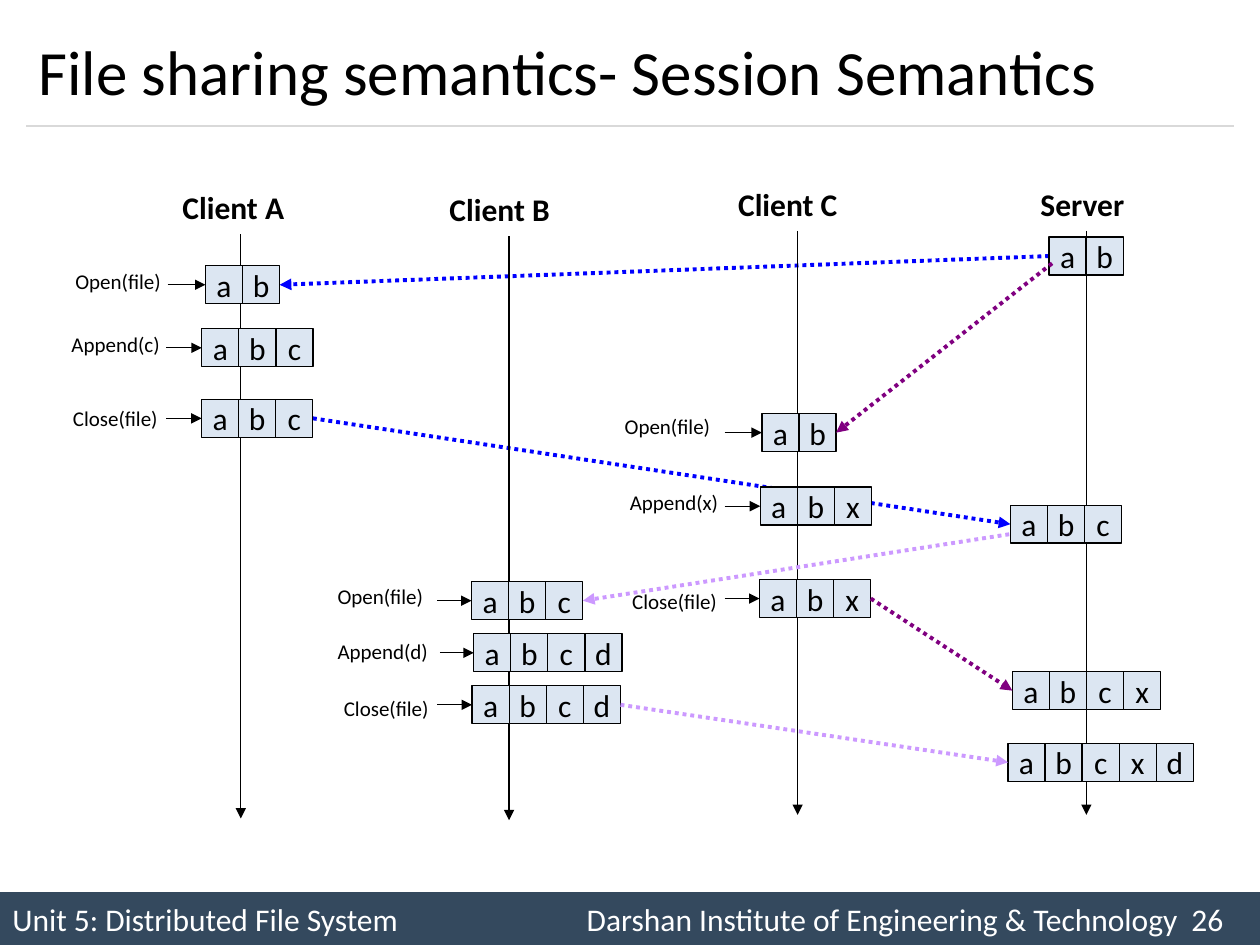
import pptx
import pptx.dml.color
import pptx.enum.dml
import pptx.enum.shapes
import pptx.enum.text
import pptx.oxml
import pptx.oxml.ns
import pptx.util

Pt = pptx.util.Pt
hue = pptx.dml.color.RGBColor.from_string
rect = pptx.enum.shapes.MSO_SHAPE.RECTANGLE
middle = pptx.enum.text.MSO_ANCHOR.MIDDLE
space = pptx.oxml.ns.nsdecls("a")

deck = pptx.Presentation()
deck.slide_width, deck.slide_height = Pt(720), Pt(540)
slide = deck.slides.add_slide(deck.slide_layouts[6])
shapes = slide.shapes


def write(frame, words, size, color="000000", bold=False):
    run = frame.paragraphs[0].add_run()
    run.text = words
    run.font.name = "Calibri"
    run.font.size = Pt(size)
    run.font.bold = bold
    run.font.color.rgb = hue(color)


def draw(start, end, color="000000", width=0.75, dash=None, arrow=True):
    kind = pptx.enum.shapes.MSO_CONNECTOR.STRAIGHT
    line = shapes.add_connector(kind, Pt(start[0]), Pt(start[1]), Pt(end[0]), Pt(end[1]))
    line.line.color.rgb = hue(color)
    line.line.width = Pt(width)
    if dash:
        line.line.dash_style = dash
    if arrow:
        tail = pptx.oxml.parse_xml(f'<a:tailEnd {space} type="triangle"/>')
        line.line._get_or_add_ln().append(tail)
    line._element.spPr.append(pptx.oxml.parse_xml(f"<a:effectLst {space}/>"))
    return line


bar = shapes.add_shape(rect, 0, Pt(509.8), Pt(720), Pt(30.2))
bar.shadow.inherit = False
bar.fill.solid()
bar.fill.fore_color.rgb = hue("34495E")
bar.line.fill.background()
bar.text_frame.vertical_anchor = middle
par = bar.text_frame.paragraphs[0]
tabs = f'<a:tabLst {space}>'
for stop in (328.2, 673.8):
    tabs += f'<a:tab pos="{Pt(stop)}" algn="l"/>'
par._p.get_or_add_pPr().append(pptx.oxml.parse_xml(tabs + "</a:tabLst>"))
par.alignment = pptx.enum.text.PP_ALIGN.LEFT
footer = "Unit 5: Distributed File System\tDarshan Institute of Engineering & Technology\t26"
write(bar.text_frame, footer, 18, "FFFFFF")

draw((15, 72), (705, 72), "D9D9D9", arrow=False)

title = shapes.add_textbox(Pt(15), Pt(8.6), Pt(690), Pt(63.4))
title.text_frame.word_wrap = True
title.text_frame.vertical_anchor = middle
write(title.text_frame, "File sharing semantics- Session Semantics", 36)

dots = pptx.enum.dml.MSO_LINE.ROUND_DOT
blue, plum, lilac = "0000FF", "800080", "CC99FF"
load = draw((599, 145), (160, 161), blue, 2.25, dots)
save = draw((180, 241), (577, 301), blue, 2.25, dots)

lanes = [
    ("Client A", 97.2, 103.7, 137.6, 133.9),
    ("Client B", 249.8, 105.1, 290.9, 134.9),
    ("Client C", 414.7, 102.2, 455.8, 131.9),
    ("Server", 587.5, 102.2, 620.8, 131.9),
]
labels = []
for name, left, top, x, y in lanes:
    labels.append((name, left, top, 77, 26.6, 18, True))
    draw((x, y), (x, y + 333.8))

steps = [
    ("A open", "ab", 117.4, 151.9, 95.8, "Open(file)", 36, 149.8),
    ("A append", "abc", 115.3, 187.9, 95, "Append(c)", 33.8, 185.8),
    ("A close", "abc", 115.2, 228.2, 95, "Close(file)", 34.6, 228.2),
    ("B open", "abc", 269.5, 332.4, 249.8, "Open(file)", 185.8, 329.8),
    ("B append", "abcd", 270.7, 362.2, 251.3, "Append(d)", 185.8, 361.4),
    ("B close", "abcd", 269.8, 391.9, 249.8, "Close(file)", 189.4, 393.8),
    ("C open", "ab", 435.4, 236.4, 414, "Open(file)", 349.9, 232.6),
    ("C append", "abx", 434.4, 278.4, 414, "Append(x)", 352.8, 276.5),
    ("C close", "abx", 434, 331.2, 414, "Close(file)", 354.2, 332.6),
    ("first", "ab", 599.5, 135.5, None, None, 0, 0),
    ("saved A", "abc", 577.4, 288.7, None, None, 0, 0),
    ("saved C", "abcx", 578.5, 383.8, None, None, 0, 0),
    ("saved B", "abcxd", 576, 424.8, None, None, 0, 0),
]
wide, high = 21.2, 21.7
files = {}
for key, data, left, top, start, label, x, y in steps:
    group = shapes.add_group_shape()
    cells = []
    for i, mark in enumerate(data):
        cell = group.shapes.add_shape(rect, Pt(left + i * wide), Pt(top), Pt(wide), Pt(high))
        cell.shadow.inherit = False
        cell.fill.solid()
        cell.fill.fore_color.rgb = hue("DCE6F2")
        cell.line.color.rgb = hue("000000")
        cell.line.width = Pt(0.75)
        cell.text_frame.word_wrap = False
        cell.text_frame.vertical_anchor = middle
        cell.text_frame.paragraphs[0].alignment = pptx.enum.text.PP_ALIGN.CENTER
        write(cell.text_frame, mark, 18)
        cells.append(cell)
    files[key] = cells
    if label:
        labels.append((label, x, y, 67.7, 21.6, 12, False))
        level = top + high / 2
        draw((start, level), (left, level)).end_connect(cells[0], 1)

for words, left, top, width, height, size, bold in labels:
    box = shapes.add_textbox(Pt(left), Pt(top), Pt(width), Pt(height))
    box.text_frame.word_wrap = False
    box.text_frame.auto_size = pptx.enum.text.MSO_AUTO_SIZE.SHAPE_TO_FIT_TEXT
    write(box.text_frame, words, size, bold=bold)

load.begin_connect(files["first"][0], 1)
load.end_connect(files["A open"][-1], 3)
save.begin_connect(files["A close"][-1], 3)
save.end_connect(files["saved A"][0], 1)

fetch = draw((601.2, 150.5), (478.8, 247.7), plum, 2.25, dots)
fetch.end_connect(files["C open"][-1], 3)
fetch = draw((576.7, 305.3), (335.5, 344.9), lilac, 2.25, dots)
fetch.end_connect(files["B open"][-1], 3)

for source, target, color in (("C close", "saved C", plum), ("B close", "saved B", lilac)):
    store = draw((500, 340), (577, 395), color, 2.25, dots)
    store.begin_connect(files[source][-1], 3)
    store.end_connect(files[target][0], 1)

deck.save("out.pptx")
